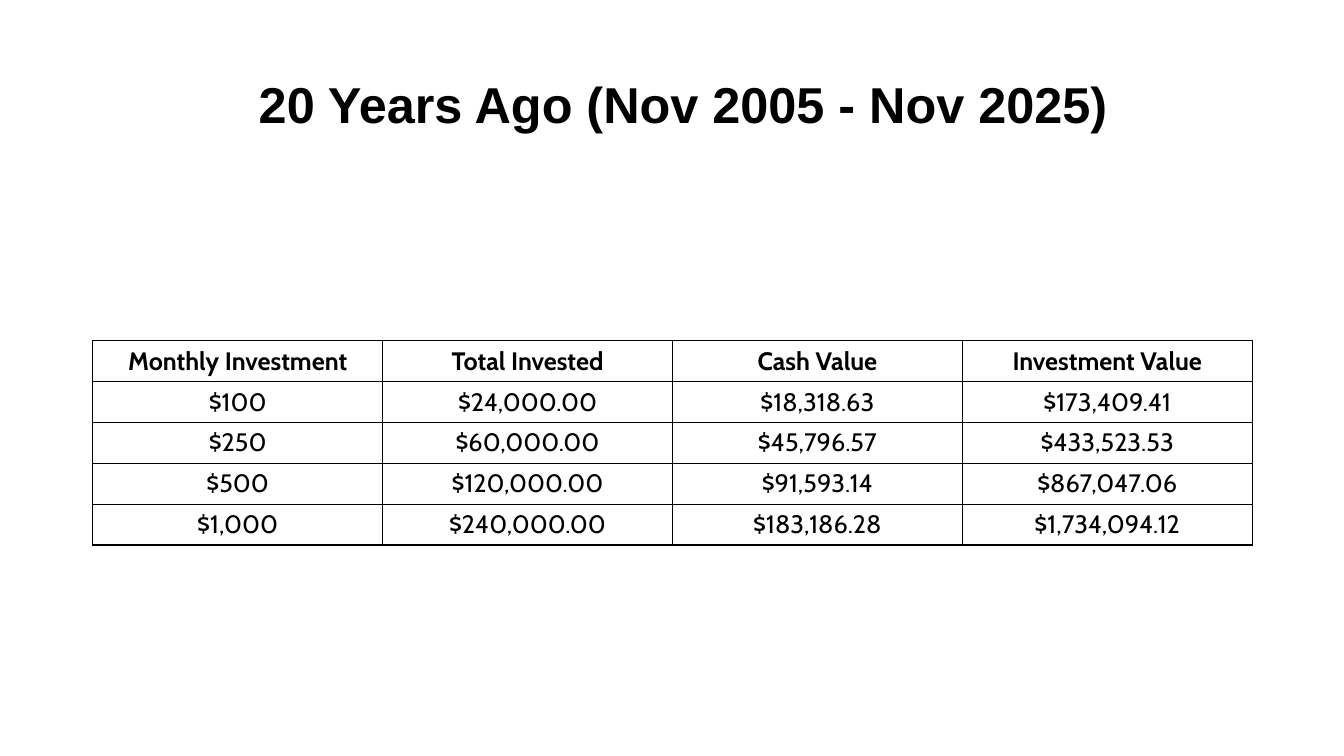
import pptx
import pptx.dml.color
import pptx.enum.text
import pptx.oxml
import pptx.oxml.ns
import pptx.util

WIDTH = pptx.util.Inches(13.33)
HEIGHT = pptx.util.Inches(7.5)
BLACK = "000000"
TITLE = "20 Years Ago (Nov 2005 - Nov 2025)"
INVESTMENTS = [
    ["Monthly Investment", "Total Invested", "Cash Value", "Investment Value"],
    ["$100", "$24,000.00", "$18,318.63", "$173,409.41"],
    ["$250", "$60,000.00", "$45,796.57", "$433,523.53"],
    ["$500", "$120,000.00", "$91,593.14", "$867,047.06"],
    ["$1,000", "$240,000.00", "$183,186.28", "$1,734,094.12"],
]


def color(hex_value):
    """Turn a hex string into a colour."""
    return pptx.dml.color.RGBColor.from_string(hex_value)


def write(frame, text, *, font, size, bold=False, align="LEFT", ink=BLACK):
    """Write one formatted paragraph into a text frame."""
    para = frame.paragraphs[0]
    para.alignment = getattr(pptx.enum.text.PP_ALIGN, align)
    span = para.add_run()
    span.text = text
    span.font.name = font
    span.font.size = pptx.util.Pt(size)
    span.font.bold = bold
    span.font.color.rgb = color(ink)


def outline_cell(cell, hex_value, points):
    """Draw all four borders of a table cell."""
    properties = cell._tc.get_or_add_tcPr()
    namespace = pptx.oxml.ns.nsdecls("a")
    for index, side in enumerate(("lnL", "lnR", "lnT", "lnB")):
        border = pptx.oxml.parse_xml(
            f'<a:{side} {namespace} w="{pptx.util.Pt(points)}"><a:solidFill>'
            f'<a:srgbClr val="{hex_value}"/></a:solidFill></a:{side}>'
        )
        properties.insert(index, border)


def place_title(page, text):
    """Position and fill the title placeholder."""
    box = page.shapes.title
    box.left, box.top = int(WIDTH * 0.185), int(HEIGHT * 0.09)
    box.width, box.height = int(WIDTH * 0.653), int(HEIGHT * 0.135)
    frame = box.text_frame
    frame.word_wrap = True
    frame.auto_size = pptx.enum.text.MSO_AUTO_SIZE.NONE
    frame.vertical_anchor = pptx.enum.text.MSO_ANCHOR.TOP
    write(frame, text, font="Arial", size=36, bold=True)


def place_table(page, rows):
    """Add a bordered table with a bold heading row."""
    row_height = pptx.util.Inches(0.4)
    left, top = pptx.util.Inches(0.92), pptx.util.Inches(3.38)
    table = page.shapes.add_table(
        len(rows), len(rows[0]), left, top,
        pptx.util.Inches(11.5), row_height * len(rows),
    ).table
    table.horz_banding = False
    for row_index, row in enumerate(rows):
        for column_index, text in enumerate(row):
            cell = table.cell(row_index, column_index)
            cell.fill.background()
            cell.vertical_anchor = pptx.enum.text.MSO_ANCHOR.MIDDLE
            outline_cell(cell, BLACK, 1)
            write(cell.text_frame, text, font="Cabin", size=18,
                  bold=row_index == 0, align="CENTER")


def main():
    """Build the investment slide and save it."""
    deck = pptx.Presentation()
    deck.slide_width, deck.slide_height = WIDTH, HEIGHT
    page = deck.slides.add_slide(deck.slide_layouts.get_by_name("Title Only"))
    place_title(page, TITLE)
    place_table(page, INVESTMENTS)
    deck.save("out.pptx")


if __name__ == "__main__":
    main()
